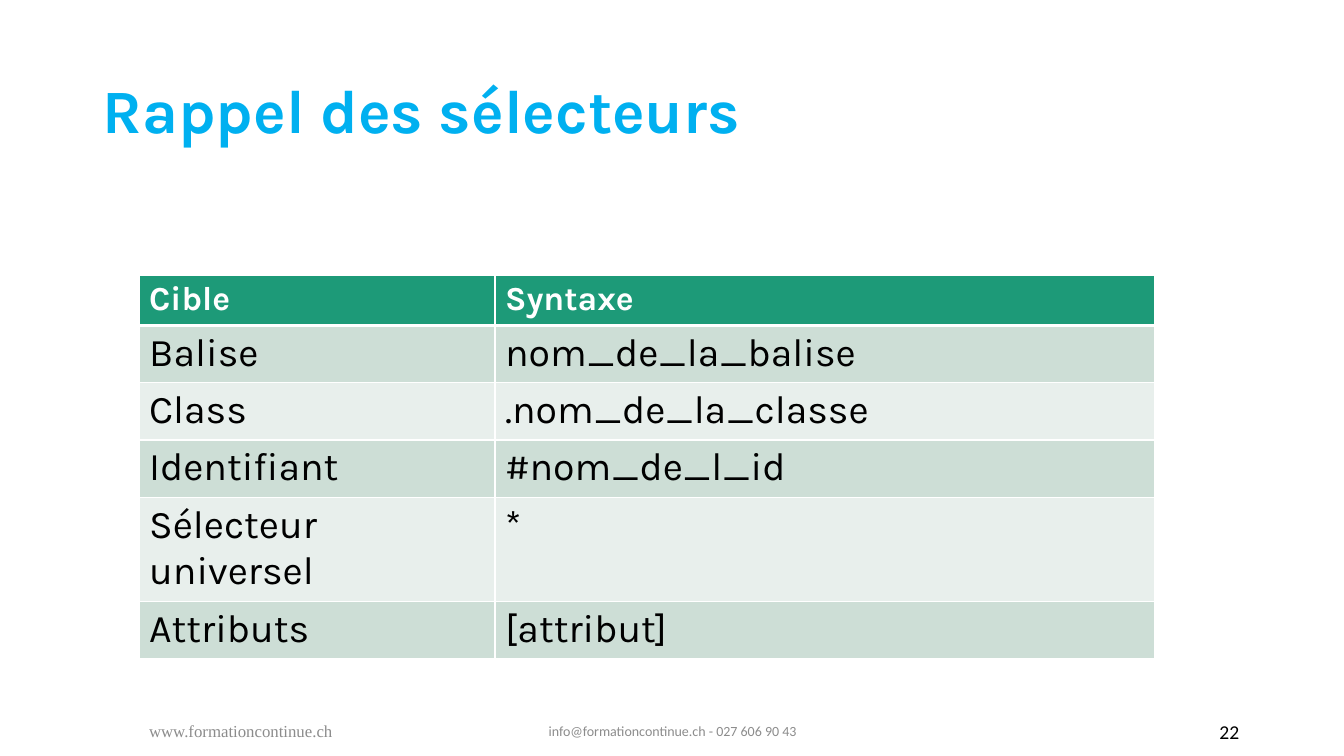
from pptx import Presentation
from pptx.util import Emu, Pt
from pptx.dml.color import RGBColor
from pptx.enum.text import MSO_ANCHOR, PP_ALIGN
from lxml import etree
from pptx.oxml.ns import qn

PX = 9144  # 100 px to the inch
COLORS = {"title": "00B0F0", "header": "1D9A78", "odd": "CDDED6",
          "even": "E8EFEC", "white": "FFFFFF", "black": "000000", "grey": "8C8C8C"}


def style(p, size, font, color, bold=False):
    for r in p.runs:
        r.font.size = Pt(size)
        r.font.name = font
        r.font.bold = bold
        r.font.color.rgb = RGBColor.from_string(COLORS[color])


def add_border(cell, side, width):
    ln = etree.SubElement(cell._tc.get_or_add_tcPr(), qn(f"a:{side}"), w=str(Pt(width)))
    fill = etree.SubElement(ln, qn("a:solidFill"))
    etree.SubElement(fill, qn("a:srgbClr"), val=COLORS["white"])


prs = Presentation()
prs.slide_width, prs.slide_height = Emu(1333 * PX), Emu(750 * PX)
s = prs.slides.add_slide(prs.slide_layouts[6])

# Title and footer
texts = [
    ("Rappel des sélecteurs", (92, 40, 1150, 145), 44, "Karla", "title", PP_ALIGN.LEFT),
    ("www.formationcontinue.ch", (138, 705, 300, 40), 12, "Times New Roman", "grey", PP_ALIGN.LEFT),
    ("info@formationcontinue.ch - 027 606 90 43", (456, 705, 422, 40), 10, "Calibri", "grey",
     PP_ALIGN.CENTER),
    ("22", (961, 706, 278, 39), 14, "Calibri", "black", PP_ALIGN.RIGHT),
]
for text, box, size, font, color, align in texts:
    sp = s.shapes.add_textbox(*(Emu(v * PX) for v in box))
    tf = sp.text_frame
    tf.word_wrap = True
    tf.vertical_anchor = MSO_ANCHOR.MIDDLE
    tf.text = text
    p = tf.paragraphs[0]
    p.alignment = align
    if color == "title":
        p.line_spacing = 0.9
    style(p, size, font, color, color == "title")

# Selector table
rows = [
    ("Cible", "Syntaxe"),
    ("Balise", "nom_de_la_balise"),
    ("Class", ".nom_de_la_classe"),
    ("Identifiant", "#nom_de_l_id"),
    ("Sélecteur universel", "*"),
    ("Attributs", "[attribut]"),
]
col_widths = (353, 654)
row_height = 48
table = s.shapes.add_table(len(rows), 2, Emu(138 * PX), Emu(273 * PX),
                           Emu(sum(col_widths) * PX), Emu(len(rows) * row_height * PX)).table
for col, width in zip(table.columns, col_widths):
    col.width = Emu(width * PX)

for i, row in enumerate(rows):
    table.rows[i].height = Emu(row_height * PX)
    header = i == 0
    fill = "header" if header else "odd" if i % 2 else "even"
    for j, text in enumerate(row):
        cell = table.cell(i, j)
        cell.text_frame.text = text
        style(cell.text_frame.paragraphs[0], 24 if header else 28, "Karla",
              "white" if header else "black", header)
        # Borders precede the fill in the cell properties
        for side in ("lnL", "lnR", "lnT", "lnB"):
            thick = (header and side == "lnB") or (i == 1 and side == "lnT")
            add_border(cell, side, 3 if thick else 1)
        cell.fill.solid()
        cell.fill.fore_color.rgb = RGBColor.from_string(COLORS[fill])

prs.save("out.pptx")
